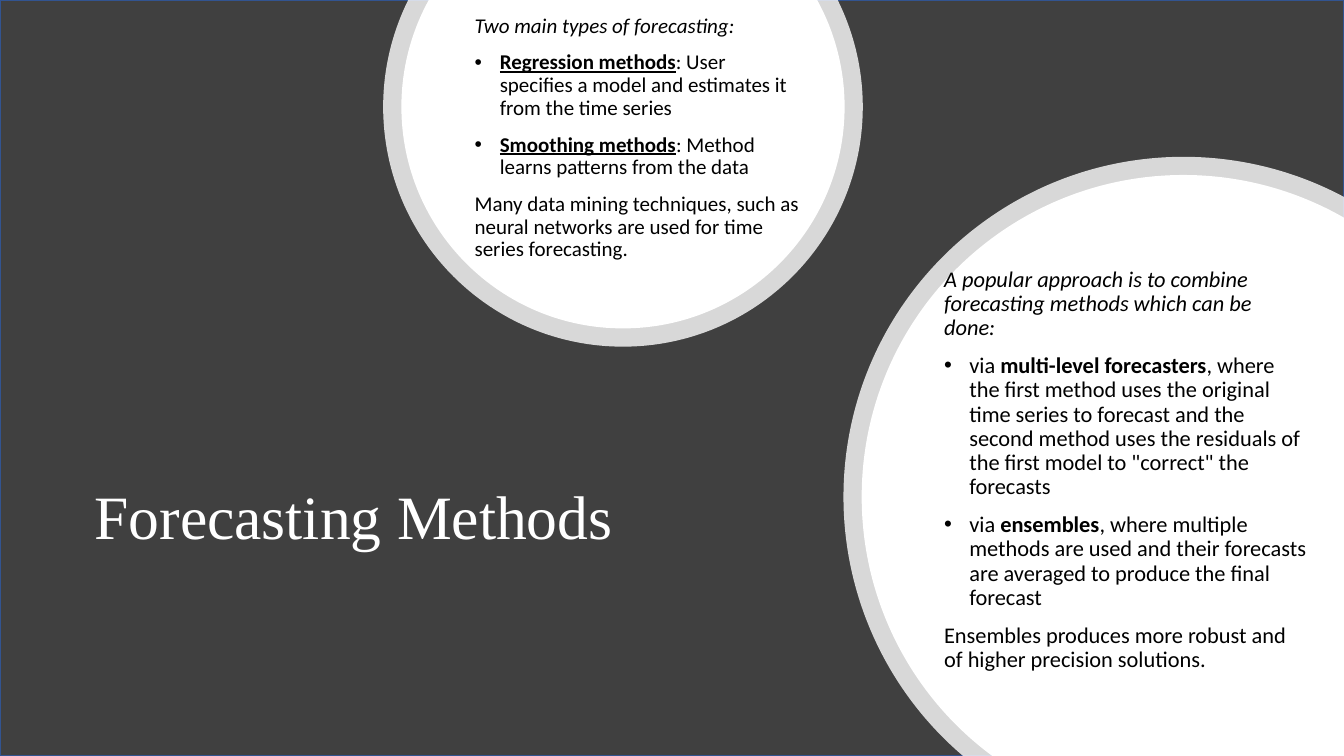
from dataclasses import dataclass
from itertools import pairwise
from math import acos, asin, cos, pi, sin, tan

from lxml import etree
from pptx import Presentation
from pptx.dml.color import RGBColor
from pptx.enum.shapes import MSO_SHAPE
from pptx.enum.text import MSO_ANCHOR, MSO_AUTO_SIZE, PP_ALIGN
from pptx.oxml.ns import qn
from pptx.util import Pt

RECTANGLE = MSO_SHAPE.RECTANGLE
MIDDLE = MSO_ANCHOR.MIDDLE
NO_AUTOFIT = MSO_AUTO_SIZE.NONE
LEFT = PP_ALIGN.LEFT

WIDTH, HEIGHT = 960, 540
TWO_CONTENT_LAYOUT = 3


@dataclass(frozen=True)
class Theme:
    backdrop: RGBColor = RGBColor(0x40, 0x40, 0x40)
    backdrop_line: RGBColor = RGBColor(0x32, 0x54, 0x91)
    white: RGBColor = RGBColor(0xFF, 0xFF, 0xFF)
    black: RGBColor = RGBColor(0, 0, 0)
    title_font: str = "Times New Roman"
    body_font: str = "Calibri"
    title_size: float = 44
    types_size: float = 15
    combining_size: float = 16
    ring_opacity: int = 80
    bullet_indent: float = 18
    line_spacing: float = 0.9
    space_before: float = 10


class SlideBuilder:
    def __init__(self, slide, theme):
        self.slide = slide
        self.theme = theme

    def backdrop(self):
        shape = self.slide.shapes.add_shape(RECTANGLE, 0, 0, Pt(WIDTH), Pt(HEIGHT))
        shape.shadow.inherit = False
        shape.fill.solid()
        shape.fill.fore_color.rgb = self.theme.backdrop
        shape.line.color.rgb = self.theme.backdrop_line
        shape.line.width = Pt(1)

    def disc(self, center_x, center_y, radius, angles, corners=(), opacity=100):
        """Draw a white disc with one curve between each two angles."""
        def point(angle, handle=0):
            x = center_x + radius * (cos(angle) - handle * sin(angle))
            y = center_y + radius * (sin(angle) + handle * cos(angle))
            return Pt(x), Pt(y)

        curve_points = []
        for start, end in pairwise(angles):
            handle = 4 / 3 * tan((end - start) / 4)
            curve_points += [point(start, handle), point(end, -handle), point(end)]
        corner_points = [(Pt(x), Pt(y)) for x, y in corners]
        builder = self.slide.shapes.build_freeform(*point(angles[0]))
        builder.add_line_segments(curve_points + corner_points, close=True)
        shape = builder.convert_to_shape()
        self.bend(shape, len(curve_points))
        shape.shadow.inherit = False
        shape.line.fill.background()
        shape.fill.solid()
        shape.fill.fore_color.rgb = self.theme.white
        if opacity < 100:
            color = shape.element.spPr.find(qn("a:solidFill"))[0]
            etree.SubElement(color, qn("a:alpha"), val=str(opacity * 1000))

    def bend(self, shape, count):
        """Join each three of the first line segments into a Bézier curve."""
        segments = list(shape.element.iter(qn("a:lnTo")))[:count]
        for first in range(0, count, 3):
            curve = etree.Element(qn("a:cubicBezTo"))
            segments[first].addprevious(curve)
            for segment in segments[first:first + 3]:
                curve.append(segment[0])
                segment.getparent().remove(segment)

    def top_disc(self, center_x, center_y, radius, opacity=100):
        """Draw a disc cut off by the slide's top edge."""
        cut = asin(center_y / radius)
        angles = [-cut, 0, pi / 2, pi, pi + cut]
        self.disc(center_x, center_y, radius, angles, opacity=opacity)

    def corner_disc(self, center_x, center_y, radius, opacity=100):
        """Draw a disc cut off by the slide's right and bottom edges."""
        right_cut = acos((WIDTH - center_x) / radius)
        bottom_cut = asin((HEIGHT - center_y) / radius)
        angles = [-right_cut, -pi / 2, -pi, -pi - bottom_cut]
        self.disc(center_x, center_y, radius, angles, [(WIDTH, HEIGHT)], opacity)

    def place(self, placeholder, left, top, width, height):
        """Move a placeholder and bring it to the front."""
        placeholder.left, placeholder.top = Pt(left), Pt(top)
        placeholder.width, placeholder.height = Pt(width), Pt(height)
        element = placeholder.element
        element.getparent().append(element)
        frame = placeholder.text_frame
        frame.word_wrap = True
        frame.auto_size = NO_AUTOFIT
        frame.vertical_anchor = MIDDLE
        return frame

    def format_run(self, run, font_name, size, color):
        run.font.name = font_name
        run.font.size = Pt(size)
        run.font.color.rgb = color

    def title(self, text, *box):
        theme = self.theme
        frame = self.place(self.slide.shapes.title, *box)
        frame.text = text
        paragraph = frame.paragraphs[0]
        paragraph.alignment = LEFT
        paragraph.line_spacing = theme.line_spacing
        self.format_run(paragraph.runs[0], theme.title_font, theme.title_size, theme.white)

    def body(self, index, paragraphs, size, *box):
        """Fill a body placeholder with (bulleted, runs) paragraphs."""
        theme = self.theme
        frame = self.place(self.slide.placeholders[index], *box)
        for number, (bulleted, runs) in enumerate(paragraphs):
            paragraph = frame.add_paragraph() if number else frame.paragraphs[0]
            paragraph.alignment = LEFT
            paragraph.line_spacing = theme.line_spacing
            paragraph.space_before = Pt(theme.space_before)
            self.bullet(paragraph, bulleted)
            for text, style in runs:
                run = paragraph.add_run()
                run.text = text
                self.format_run(run, theme.body_font, size, theme.black)
                run.font.italic = "i" in style
                run.font.bold = "b" in style
                run.font.underline = "u" in style

    def bullet(self, paragraph, bulleted):
        indent = Pt(self.theme.bullet_indent) if bulleted else 0
        properties = paragraph._p.get_or_add_pPr()
        properties.set("marL", str(indent))
        properties.set("indent", str(-indent))
        if bulleted:
            etree.SubElement(properties, qn("a:buChar"), char="•")
        else:
            etree.SubElement(properties, qn("a:buNone"))


# Each paragraph: bulleted or not, then runs with i(talic), b(old), u(nderline)
FORECASTING_TYPES = [
    (False, [("Two main types of forecasting:", "i")]),
    (True, [("Regression methods", "bu"),
            (": User specifies a model and estimates it from the time series", "")]),
    (True, [("Smoothing methods", "bu"), (": Method learns patterns from the data", "")]),
    (False, [("Many data mining techniques, such as neural networks are used "
              "for time series forecasting.", "")]),
]
COMBINING_METHODS = [
    (False, [("A popular approach is to combine forecasting methods "
              "which can be done:", "i")]),
    (True, [("via ", ""), ("multi-level forecasters", "b"),
            (", where the first method uses the original time series to forecast and "
             "the second method uses the residuals of the first model to "
             "\"correct\" the forecasts", "")]),
    (True, [("via ", ""), ("ensembles", "b"),
            (", where multiple methods are used and their forecasts are averaged "
             "to produce the final forecast", "")]),
    (False, [("Ensembles produces more robust and of higher precision solutions.", "")]),
]


def main():
    presentation = Presentation()
    presentation.slide_width, presentation.slide_height = Pt(WIDTH), Pt(HEIGHT)
    layout = presentation.slide_layouts[TWO_CONTENT_LAYOUT]
    theme = Theme()
    builder = SlideBuilder(presentation.slides.add_slide(layout), theme)

    # Backdrop and title
    builder.backdrop()
    builder.title("Forecasting Methods", 60.3, 275.8, 476.6, 190.8)

    # Rings, then the top disc with the types of forecasting
    builder.top_disc(445, 76.3, 171.3, theme.ring_opacity)
    builder.corner_disc(845.5, 355, 243, theme.ring_opacity)
    builder.top_disc(445, 76.3, 158.3)
    builder.body(1, FORECASTING_TYPES, theme.types_size, 331.8, 28.3, 248.4, 141)

    # Right disc: combining methods
    builder.corner_disc(845.5, 355, 230)
    builder.body(2, COMBINING_METHODS, theme.combining_size, 667.2, 168.1, 273.6, 335.5)

    presentation.save("out.pptx")


if __name__ == "__main__":
    main()
